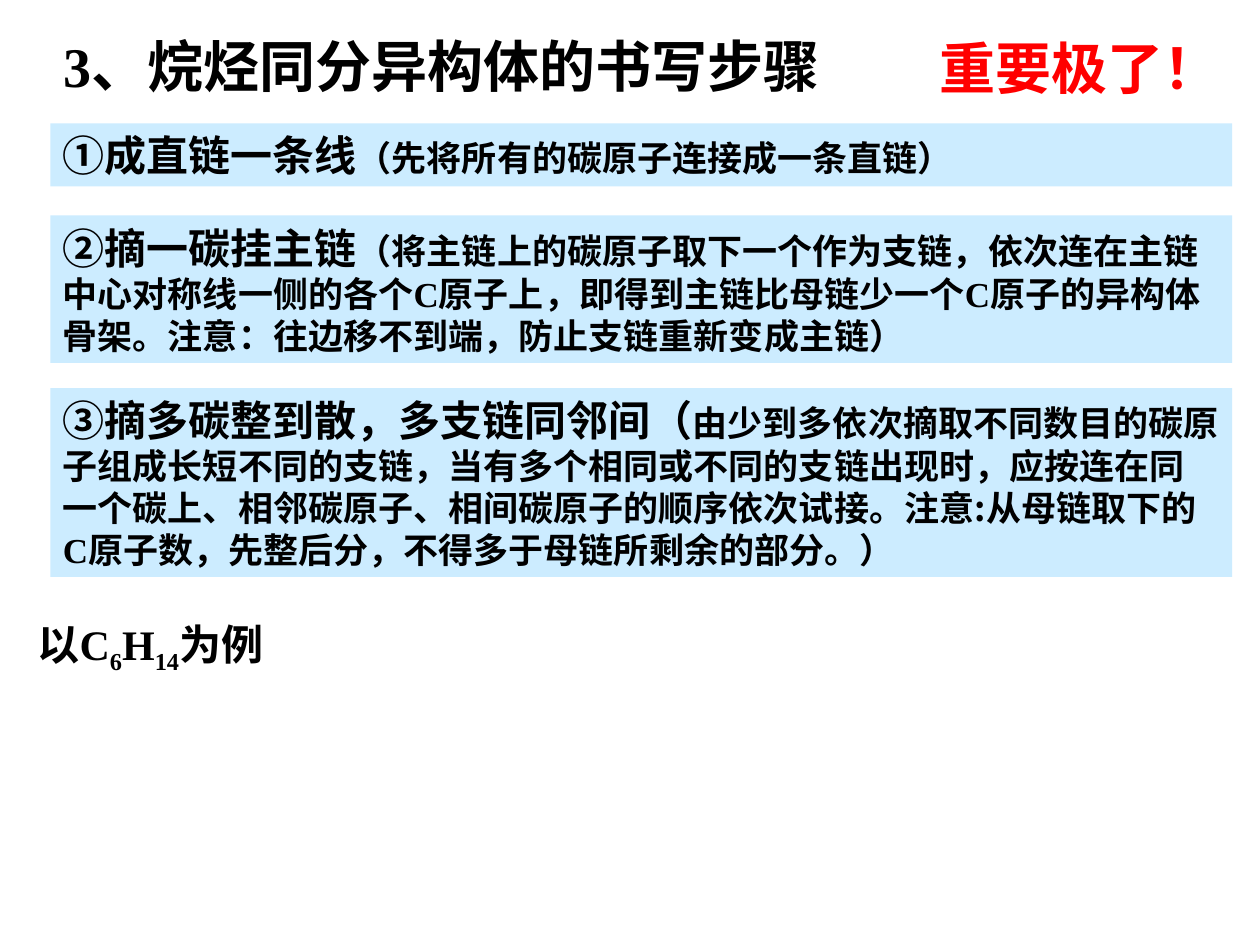
"""Build a slide on the steps for writing alkane isomers."""
from pptx import Presentation
from pptx.dml.color import RGBColor
from pptx.enum.shapes import MSO_SHAPE
from pptx.enum.text import MSO_ANCHOR, MSO_AUTO_SIZE, PP_ALIGN
from pptx.oxml.ns import qn
from pptx.util import Inches, Pt

COLORS = {"text": "000000", "alert": "FF0000", "band": "CCECFF"}
CJK, TIMES, CALIBRI, ARIAL = "Noto Sans CJK SC", "Times New Roman", "Calibri", "Arial"
LINE_RATIO = 1.2
BAND_LEFT, BAND_WIDTH = 0.4, 9.38

TITLE = [("3、", 32, TIMES), ("烷烃同分异构体的书写步骤", 32, CJK)]
ALERT = [("重要极了！", 32, ARIAL)]
STEPS = [
    (0.98, 0.5, 24, [
        ("①成直链一条线", 24, CJK),
        ("（先将所有的碳原子连接成一条直链）", 20, CJK),
    ]),
    (1.71, 1.17, 20, [
        ("②", 24, CALIBRI),
        ("摘一碳挂主链", 24, CJK),
        ("（将主链上的碳原子取下一个作为支链，", 20, CJK),
        ("依次连在主链中心对称线一侧的各个C原子上，即得到主链比母链少一个C原子的异构体骨架。注意：", 20, TIMES),
        ("往边移不到端，防止支链重新变成主链）", 20, CJK),
    ]),
    (3.08, 1.5, 20, [
        ("③摘多碳整到", 24, CALIBRI),
        ("散，", 24, CJK),
        ("多支链同邻间", 24, CALIBRI),
        ("（", 24, CJK),
        ("由少到多依次摘取不同数目的碳原子组成长短不同的支链，当有多个相同或不同的支链出现时，"
         "应按连在同一个碳上、相邻碳原子、相间碳原子的顺序依次试接。注意:", 20, CJK),
        ("从母链取下的C原子数，先整后分，不得多于母链所剩余的部分。", 20, TIMES),
        ("）", 20, CJK),
    ]),
]
EXAMPLE = [("以C", 24, TIMES), ("6", 24, TIMES, -25), ("H", 24, TIMES),
           ("14", 24, TIMES, -25), ("为例", 24, TIMES)]


def add_run(paragraph, color, text, size, font_name, baseline=0):
    run = paragraph.add_run()
    run.text = text
    font = run.font
    font.size, font.bold, font.name = Pt(size), True, font_name
    font.color.rgb = RGBColor.from_string(COLORS[color])
    properties = run._r.get_or_add_rPr()
    east_asian = properties.makeelement(qn("a:ea"), {"typeface": CJK})
    properties.find(qn("a:latin")).addnext(east_asian)
    if baseline:
        properties.set("baseline", str(baseline * 1000))


def write(shape, runs, line_size, color="text"):
    frame = shape.text_frame
    frame.word_wrap = True
    frame.auto_size = MSO_AUTO_SIZE.NONE
    frame.vertical_anchor = MSO_ANCHOR.BOTTOM
    frame.margin_left = frame.margin_right = Inches(0.1)
    frame.margin_top = frame.margin_bottom = Inches(0.05)
    paragraph = frame.paragraphs[0]
    paragraph.alignment = PP_ALIGN.LEFT
    paragraph.space_before = Pt(0)
    paragraph.line_spacing = Pt(line_size * LINE_RATIO)
    for run in runs:
        add_run(paragraph, color, *run)


def main():
    presentation = Presentation()
    presentation.slide_width, presentation.slide_height = Inches(10), Inches(7.5)
    slide = presentation.slides.add_slide(presentation.slide_layouts[5])
    shapes = slide.shapes

    for top, height, line_size, runs in STEPS:
        box = map(Inches, (BAND_LEFT, top, BAND_WIDTH, height))
        band = shapes.add_shape(MSO_SHAPE.RECTANGLE, *box)
        band.shadow.inherit = False
        band.fill.solid()
        band.fill.fore_color.rgb = RGBColor.from_string(COLORS["band"])
        band.line.fill.background()
        write(band, runs, line_size)

    title = shapes.title
    title.left, title.top, title.width, title.height = map(Inches, (BAND_LEFT, 0.19, 10, 0.64))
    write(title, TITLE, 32)
    alert = shapes.add_textbox(*map(Inches, (7.36, 0.21, 2.44, 0.64)))
    write(alert, ALERT, 32, "alert")
    example = shapes.add_textbox(*map(Inches, (0.2, 4.85, 2.46, 0.56)))
    write(example, EXAMPLE, 24)

    presentation.save("out.pptx")


if __name__ == "__main__":
    main()
